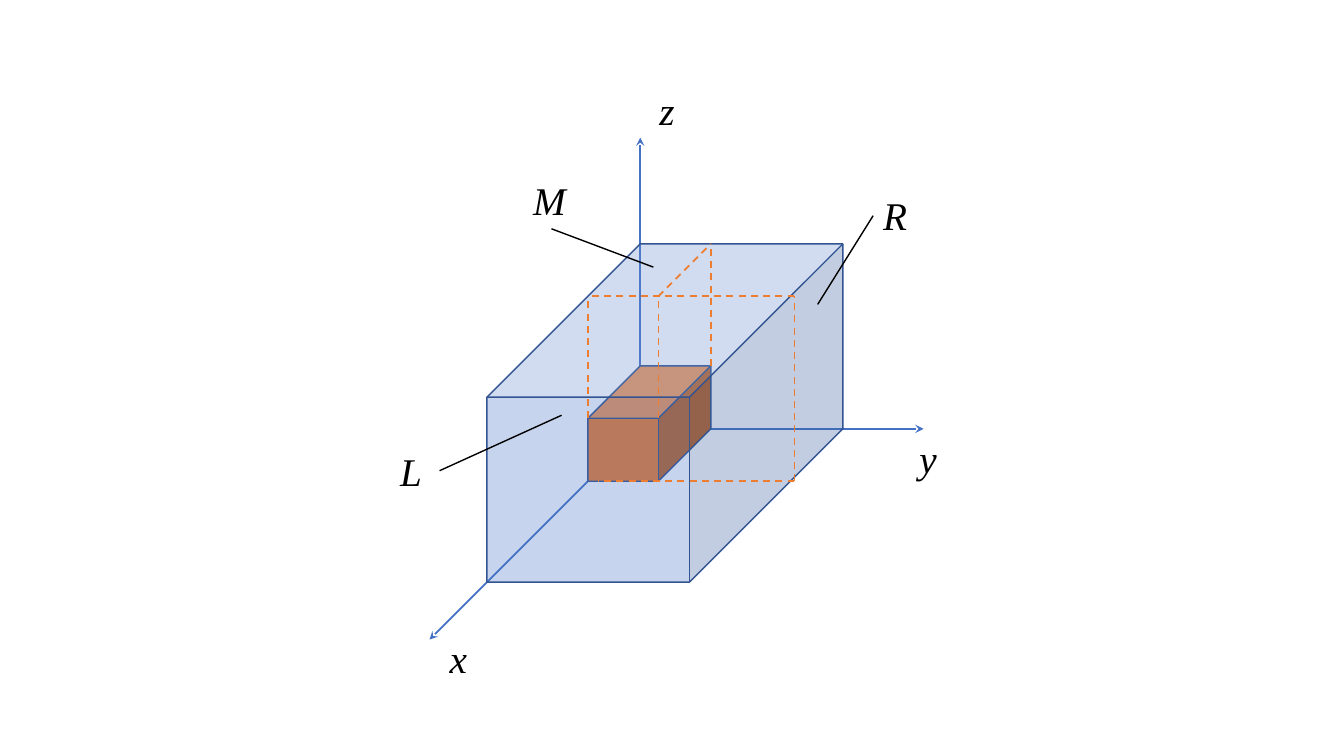
import dataclasses

import pptx
import pptx.dml.color
import pptx.enum.dml
import pptx.enum.shapes
import pptx.enum.text
import pptx.oxml
import pptx.oxml.ns
import pptx.util


@dataclasses.dataclass(frozen=True)
class Theme:
    font: str = "Times New Roman"
    label_size: float = 28
    black: str = "000000"
    blue: str = "4472C4"
    edge: str = "325491"
    orange: str = "ED7D31"
    thin: float = 1
    medium: float = 1.25
    thick: float = 1.5


THEME = Theme()

# The slide is a grid of square cells, 75 rows high
WIDTH, HEIGHT = pptx.util.Inches(13.33), pptx.util.Inches(7.5)
CELL = HEIGHT / 75

# Lengths along x, y, z, drawn obliquely from the origin
ORIGIN = (63.5, 42.55)
OUTER_BOX = (15.2, 20.1, 18.35)
INNER_BOX = (5.2, 7, 6.25)


def cells(*values):
    return [pptx.util.Emu(round(value * CELL)) for value in values]


def color(value):
    return pptx.dml.color.RGBColor.from_string(value)


def project(x, y, z):
    """Grid position of a point in space; x points down to the left."""
    return ORIGIN[0] + y - x, ORIGIN[1] + x - z


def add_xml(parent, tag, **attributes):
    element = pptx.oxml.parse_xml(f"<a:{tag} {pptx.oxml.ns.nsdecls('a')}/>")
    for name, value in attributes.items():
        element.set(name, value)
    parent.append(element)


def add_line(slide, start, end, *, line_color, width, dashed=False, arrow=False):
    connector = slide.shapes.add_connector(
        pptx.enum.shapes.MSO_CONNECTOR.STRAIGHT, *cells(*start, *end))
    connector.line.color.rgb = color(line_color)
    connector.line.width = pptx.util.Pt(width)
    if dashed:
        connector.line.dash_style = pptx.enum.dml.MSO_LINE.DASH
    if arrow:
        add_xml(connector.line._get_or_add_ln(), "tailEnd", type="stealth")
    add_xml(connector._element.spPr, "effectLst")


def add_box(slide, size, *, fill, opacity=100):
    """A cube shape with one corner at the origin."""
    depth, breadth, tall = size
    left, top = project(depth, 0, tall + depth)
    width, height = breadth + depth, tall + depth
    shape = slide.shapes.add_shape(
        pptx.enum.shapes.MSO_SHAPE.CUBE, *cells(left, top, width, height))
    shape.adjustments[0] = depth / min(width, height)
    shape.shadow.inherit = False
    shape.fill.solid()
    shape.fill.fore_color.rgb = color(fill)
    if opacity < 100:
        fill_color = shape._element.spPr.find(".//" + pptx.oxml.ns.qn("a:srgbClr"))
        add_xml(fill_color, "alpha", val=str(opacity * 1000))
    shape.line.color.rgb = color(THEME.edge)
    shape.line.width = pptx.util.Pt(THEME.thin)


def add_text(slide, text, left, top, width, *, height=5.7, size=THEME.label_size,
             font=THEME.font, text_color=THEME.black, italic=True):
    shape = slide.shapes.add_textbox(*cells(left, top, width, height))
    frame = shape.text_frame
    frame.word_wrap = True
    frame.auto_size = pptx.enum.text.MSO_AUTO_SIZE.SHAPE_TO_FIT_TEXT
    run = frame.paragraphs[0].add_run()
    run.text = text
    run.font.name = font
    run.font.size = pptx.util.Pt(size)
    run.font.italic = italic
    run.font.color.rgb = color(text_color)


def add_axes(slide):
    for tip, width in (((0, 0, 28.9), THEME.thick),
                       ((0, 28.1, 0), THEME.medium),
                       ((20.9, 0, 0), THEME.medium)):
        add_line(slide, ORIGIN, project(*tip), line_color=THEME.blue,
                 width=width, arrow=True)


def add_section(slide):
    """Dashed section through the outer box at the inner box's faces."""
    depth, breadth, tall = INNER_BOX
    ceiling, right = OUTER_BOX[2], OUTER_BOX[1] + 0.4
    edges = (
        ((depth, breadth, tall), (depth, breadth, ceiling)),
        ((depth, right, 0), (depth, 1, 0)),
        ((depth, right, 0), (depth, right, ceiling)),
        ((depth, right, ceiling), (depth, 0, ceiling)),
        ((depth, 0, tall), (depth, 0, ceiling)),
        ((depth, breadth, ceiling), (0, breadth, ceiling)),
        ((0, breadth, tall), (0, breadth, ceiling)),
    )
    for start, end in edges:
        add_line(slide, project(*start), project(*end), line_color=THEME.orange,
                 width=THEME.medium, dashed=True)


def main():
    presentation = pptx.Presentation()
    presentation.slide_width, presentation.slide_height = WIDTH, HEIGHT
    slide = presentation.slides.add_slide(presentation.slide_layouts[6])

    # Axes and their names
    add_axes(slide)
    for name, left, top in (("x", 43.6, 62.4), ("y", 90.2, 42.6), ("z", 64.4, 8.1)):
        add_text(slide, name, left, top, 10.9)

    # Boxes and the section between them
    add_box(slide, INNER_BOX, fill=THEME.orange)
    add_box(slide, OUTER_BOX, fill=THEME.blue, opacity=30)
    add_section(slide)

    # Face names with their leader lines
    for name, left, top, width, start, end in (
            ("M", 51.9, 17, 5.7, (54.7, 22.7), (64.8, 26.5)),
            ("R", 86.6, 18.5, 5.8, (86.6, 21.4), (81.1, 30.2)),
            ("L", 38.7, 43.9, 5, (55.7, 41.2), (43.6, 46.7))):
        add_text(slide, name, left, top, width)
        add_line(slide, start, end, line_color=THEME.black, width=THEME.thin)

    presentation.save("out.pptx")


main()
